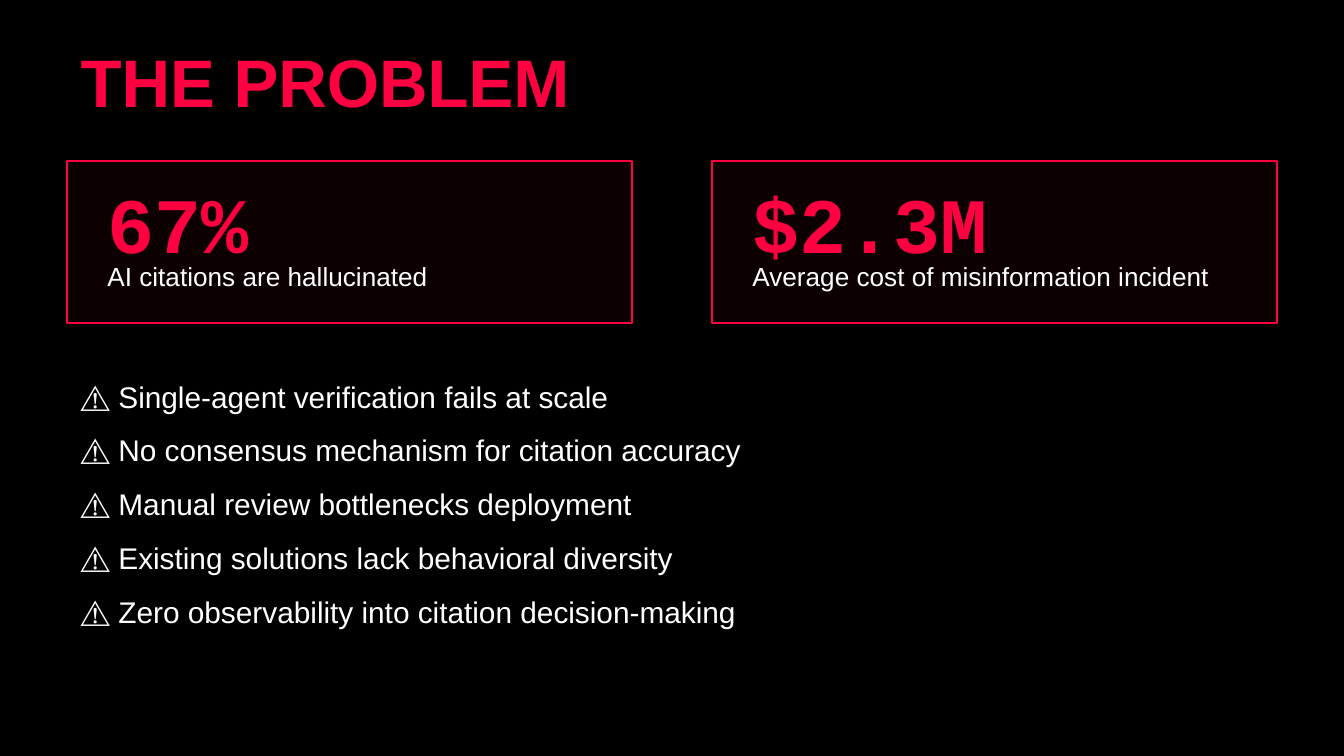
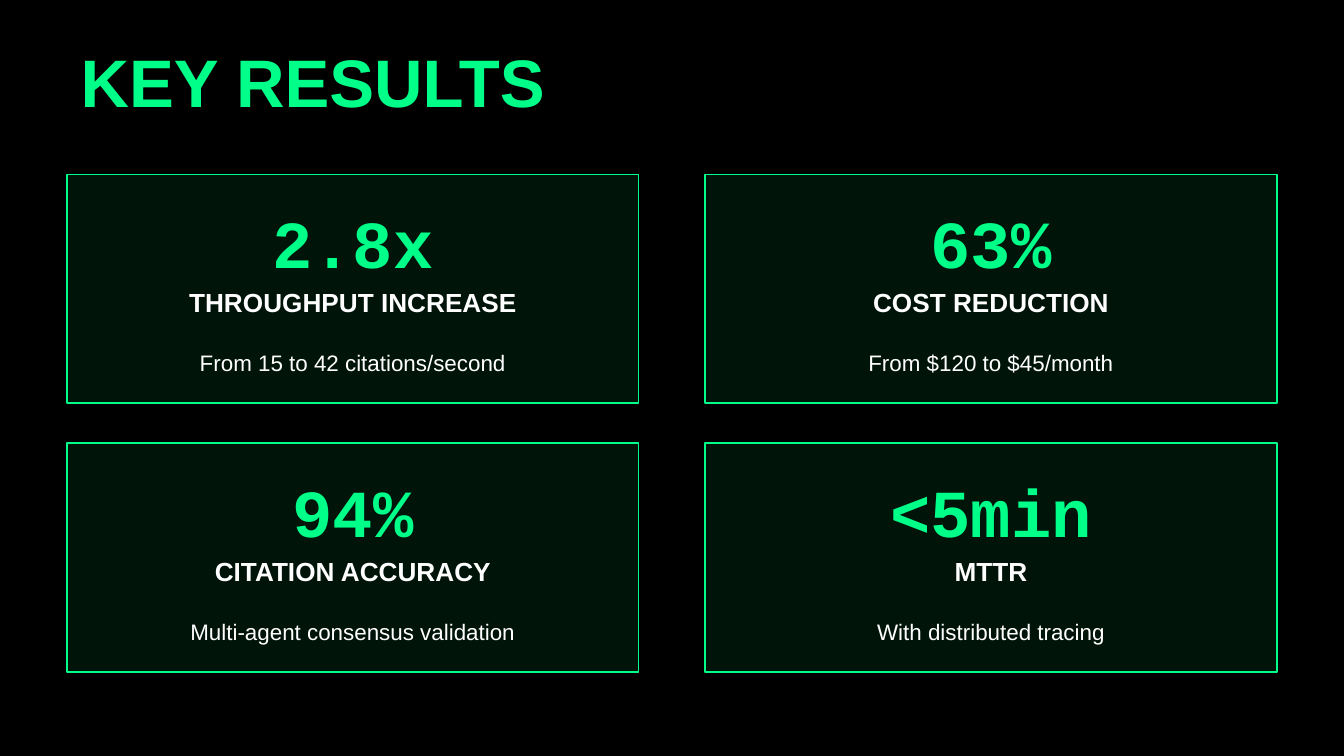
from lxml import etree
from pptx import Presentation
from pptx.dml.color import RGBColor
from pptx.enum.shapes import MSO_SHAPE
from pptx.enum.text import MSO_ANCHOR, MSO_AUTO_SIZE, PP_ALIGN
from pptx.oxml.ns import qn
from pptx.util import Cm, Pt

RECTANGLE = MSO_SHAPE.RECTANGLE
MIDDLE = MSO_ANCHOR.MIDDLE
NO_AUTOFIT = MSO_AUTO_SIZE.NONE
LEFT = PP_ALIGN.LEFT
CENTER = PP_ALIGN.CENTER

BLACK = "000000"
WHITE = "FFFFFF"
RED = "FF0040"
GREEN = "00FF88"
SANS = "Arial"
MONO = "Courier New"

MARGIN = 1.27
CONTENT_WIDTH = 22.86
TITLE_ONLY = 5

PROBLEM_STATS = [
    ("67%", "AI citations are hallucinated"),
    ("$2.3M", "Average cost of misinformation incident"),
]
WARNINGS = [
    "Single-agent verification fails at scale",
    "No consensus mechanism for citation accuracy",
    "Manual review bottlenecks deployment",
    "Existing solutions lack behavioral diversity",
    "Zero observability into citation decision-making",
]
RESULTS = [
    ("2.8x", "THROUGHPUT INCREASE", "From 15 to 42 citations/second"),
    ("63%", "COST REDUCTION", "From $120 to $45/month"),
    ("94%", "CITATION ACCURACY", "Multi-agent consensus validation"),
    ("<5min", "MTTR", "With distributed tracing"),
]


def rgb(value):
    return RGBColor.from_string(value)


def write(holder, text, size, color, font=SANS, bold=False, align=LEFT):
    frame = holder.text_frame
    frame.text = text
    frame.word_wrap = True
    frame.auto_size = NO_AUTOFIT
    frame.vertical_anchor = MIDDLE
    line = frame.paragraphs[0]
    line.alignment = align
    for run in line.runs:
        run.font.name = font
        run.font.size = Pt(size)
        run.font.bold = bold
        run.font.color.rgb = rgb(color)


def add_label(slide, left, top, width, height, text, size, color, **style):
    label = slide.shapes.add_textbox(Cm(left), Cm(top), Cm(width), Cm(height))
    write(label, text, size, color, **style)


def add_titled_slide(deck, text, accent):
    slide = deck.slides.add_slide(deck.slide_layouts[TITLE_ONLY])
    title = slide.shapes.title
    title.left, title.top = Cm(MARGIN), Cm(0.76)
    title.width, title.height = Cm(CONTENT_WIDTH), Cm(1.52)
    write(title, text, 36, accent, bold=True)
    return slide


def add_card(slide, left, top, width, height, accent, opacity):
    card = slide.shapes.add_shape(
        RECTANGLE, Cm(left), Cm(top), Cm(width), Cm(height))
    card.shadow.inherit = False
    card.fill.solid()
    card.fill.fore_color.rgb = rgb(accent)
    tint = card.element.spPr.find(qn("a:solidFill"))[0]
    etree.SubElement(tint, qn("a:alpha")).set("val", str(opacity * 1000))
    card.line.color.rgb = rgb(accent)
    card.line.width = Pt(1)


def column_left(column, card_width):
    return MARGIN + column * (CONTENT_WIDTH - card_width)


def add_problem_stat(slide, column, figure, caption):
    width, top, inset = 10.67, 3.05, 0.51
    left = column_left(column, width)
    add_card(slide, left, top, width, 3.05, RED, 5)
    text_left, text_width = left + inset, width - 2 * inset
    add_label(slide, text_left, top + 0.51, text_width, 1.27,
              figure, 42, RED, font=MONO, bold=True)
    add_label(slide, text_left, top + 1.78, text_width, 0.76,
              caption, 14, WHITE)


def add_result(slide, row, column, figure, metric, detail):
    width, inset = 10.8, 0.25
    left, top = column_left(column, width), 3.3 + row * 5.08
    add_card(slide, left, top, width, 4.32, GREEN, 8)
    text_left, text_width = left + inset, width - 2 * inset
    add_label(slide, text_left, top + 0.51, text_width, 1.52,
              figure, 36, GREEN, font=MONO, bold=True, align=CENTER)
    add_label(slide, text_left, top + 2.03, text_width, 0.76,
              metric, 14, WHITE, bold=True, align=CENTER)
    add_label(slide, text_left, top + 3.05, text_width, 1.02,
              detail, 12, WHITE, align=CENTER)


def build_problem(deck):
    slide = add_titled_slide(deck, "THE PROBLEM", RED)
    for column, (figure, caption) in enumerate(PROBLEM_STATS):
        add_problem_stat(slide, column, figure, caption)
    for index, warning in enumerate(WARNINGS):
        add_label(slide, MARGIN, 7.11 + index * 1.016, CONTENT_WIDTH, 0.76,
                  f"⚠ {warning}", 16, WHITE)


def build_results(deck):
    slide = add_titled_slide(deck, "KEY RESULTS", GREEN)
    for index, result in enumerate(RESULTS):
        row, column = divmod(index, 2)
        add_result(slide, row, column, *result)


def main():
    deck = Presentation()
    deck.slide_width, deck.slide_height = Cm(25.4), Cm(14.29)
    backdrop = deck.slide_master.background.fill
    backdrop.solid()
    backdrop.fore_color.rgb = rgb(BLACK)
    build_problem(deck)
    build_results(deck)
    deck.save("out.pptx")


if __name__ == "__main__":
    main()
